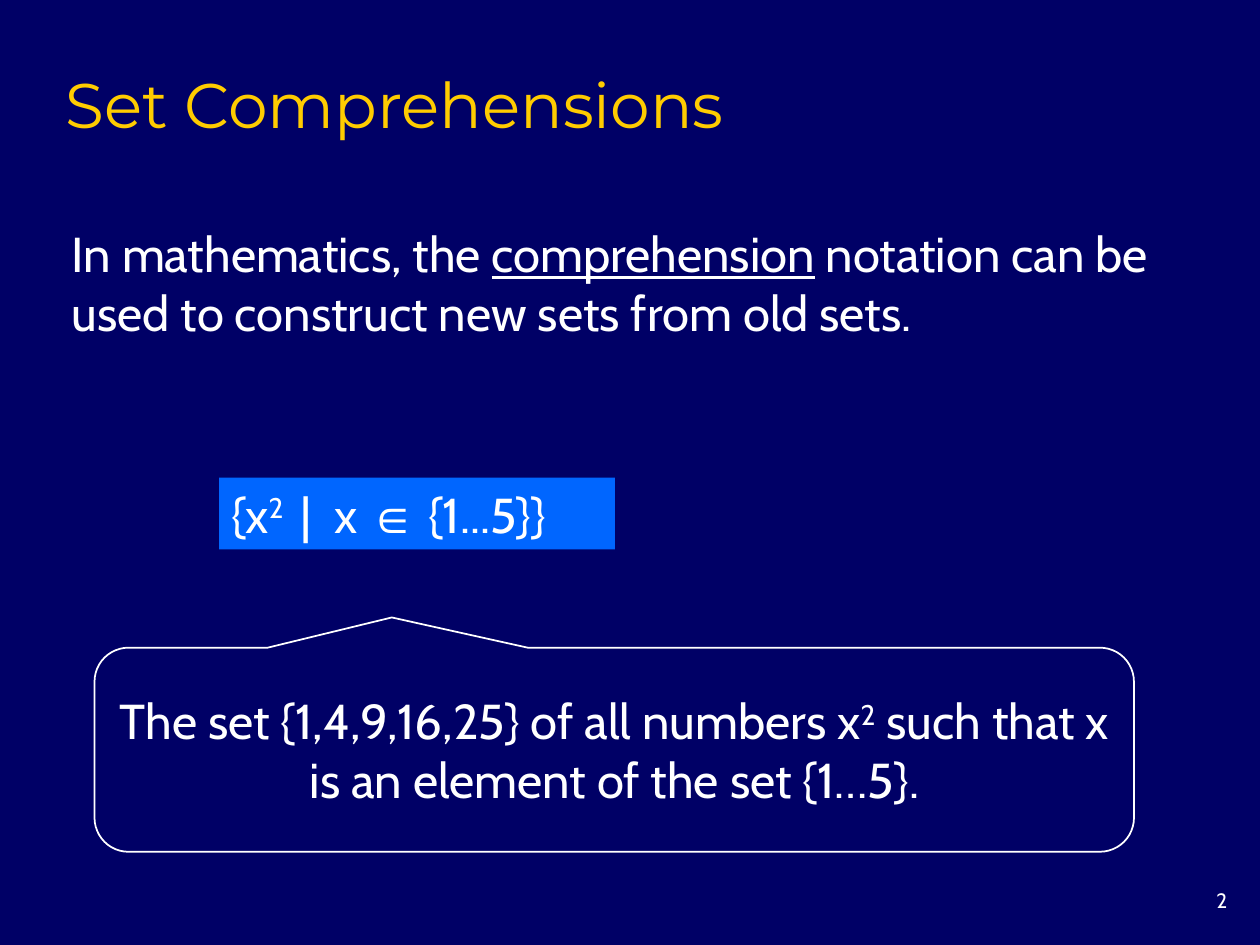
from pptx import Presentation
from pptx.dml.color import RGBColor
from pptx.enum import shapes, text
from pptx.util import Inches, Pt

COLORS = {"background": "000066", "title": "FFCC00", "text": "FFFFFF", "formula": "0066FF"}
BODY_FONT, TITLE_FONT, SYMBOL_FONT = "Cabin", "Montserrat", "Arial"
BODY_SIZE = 28

# Runs are (wording, style); style is "", "underline", "super" or "symbol".
TITLE = [("Set Comprehensions", "")]
INTRO = [
    ("In mathematics, the ", ""),
    ("comprehension", "underline"),
    (" notation can be used to construct new sets from old sets.", ""),
]
FORMULA = [("{x", ""), ("2 ", "super"), (" |  x ", ""), ("∈", "symbol"), (" {1...5}}", "")]
EXPLANATION = [
    ("The set {1,4,9,16,25} of all numbers x", ""),
    ("2", "super"),
    (" such that x is an element of the set {1…5}.", ""),
]
PAGE_NUMBER = [("2", "")]

BOXES = {
    "page": (9.17, 7, 0.67, 0.33),
    "title": (0.42, 0.42, 8.5, 0.75),
    "intro": (0.47, 1.49, 8.95, 1.5),
    "formula": (1.74, 3.79, 3.14, 0.57),
    "explanation": (0.75, 5.14, 8.25, 1.62),
}
CALLOUT_ADJUSTMENTS = (-0.214, -0.648, 0.167)


def color(name):
    return RGBColor.from_string(COLORS[name])


def box(name):
    return [Inches(length) for length in BOXES[name]]


def write(shape, runs, size=BODY_SIZE, font=BODY_FONT, ink="text",
          align=text.PP_ALIGN.LEFT, anchor=text.MSO_ANCHOR.MIDDLE):
    frame = shape.text_frame
    frame.word_wrap = True
    frame.auto_size = text.MSO_AUTO_SIZE.NONE
    frame.vertical_anchor = anchor
    paragraph = frame.paragraphs[0]
    paragraph.alignment = align
    for wording, style in runs:
        run = paragraph.add_run()
        run.text = wording
        run.font.size = Pt(size)
        run.font.name = SYMBOL_FONT if style == "symbol" else font
        run.font.color.rgb = color(ink)
        if style == "underline":
            run.font.underline = True
        elif style == "super":
            run.font._element.set("baseline", "30000")


def add_panel(slide, kind, name):
    panel = slide.shapes.add_shape(kind, *box(name))
    panel.shadow.inherit = False
    return panel


def main():
    deck = Presentation()
    deck.slide_width, deck.slide_height = Inches(10), Inches(7.5)
    slide = deck.slides.add_slide(deck.slide_layouts[5])
    slide.background.fill.solid()
    slide.background.fill.fore_color.rgb = color("background")

    title = slide.shapes.title
    title.left, title.top, title.width, title.height = box("title")
    write(title, TITLE, size=36, font=TITLE_FONT, ink="title", anchor=text.MSO_ANCHOR.BOTTOM)

    page = slide.shapes.add_textbox(*box("page"))
    write(page, PAGE_NUMBER, size=11.9, align=text.PP_ALIGN.RIGHT, anchor=text.MSO_ANCHOR.TOP)

    write(slide.shapes.add_textbox(*box("intro")), INTRO)

    formula = add_panel(slide, shapes.MSO_SHAPE.RECTANGLE, "formula")
    formula.fill.solid()
    formula.fill.fore_color.rgb = color("formula")
    formula.line.fill.background()
    write(formula, FORMULA)

    explanation = add_panel(slide, shapes.MSO_SHAPE.ROUNDED_RECTANGULAR_CALLOUT, "explanation")
    for index, value in enumerate(CALLOUT_ADJUSTMENTS):
        explanation.adjustments[index] = value
    explanation.fill.background()
    explanation.line.color.rgb = color("text")
    explanation.line.width = Pt(1)
    write(explanation, EXPLANATION, align=text.PP_ALIGN.CENTER)

    deck.save("out.pptx")


if __name__ == "__main__":
    main()
